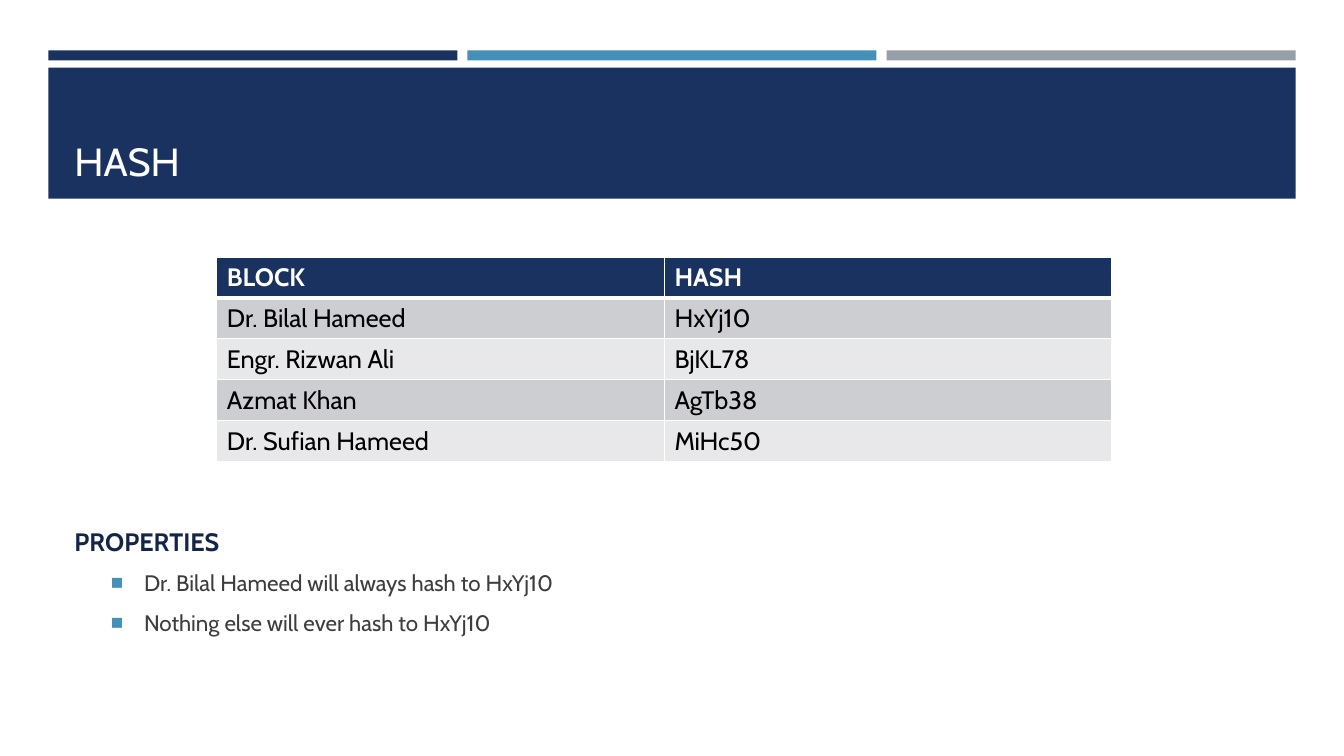
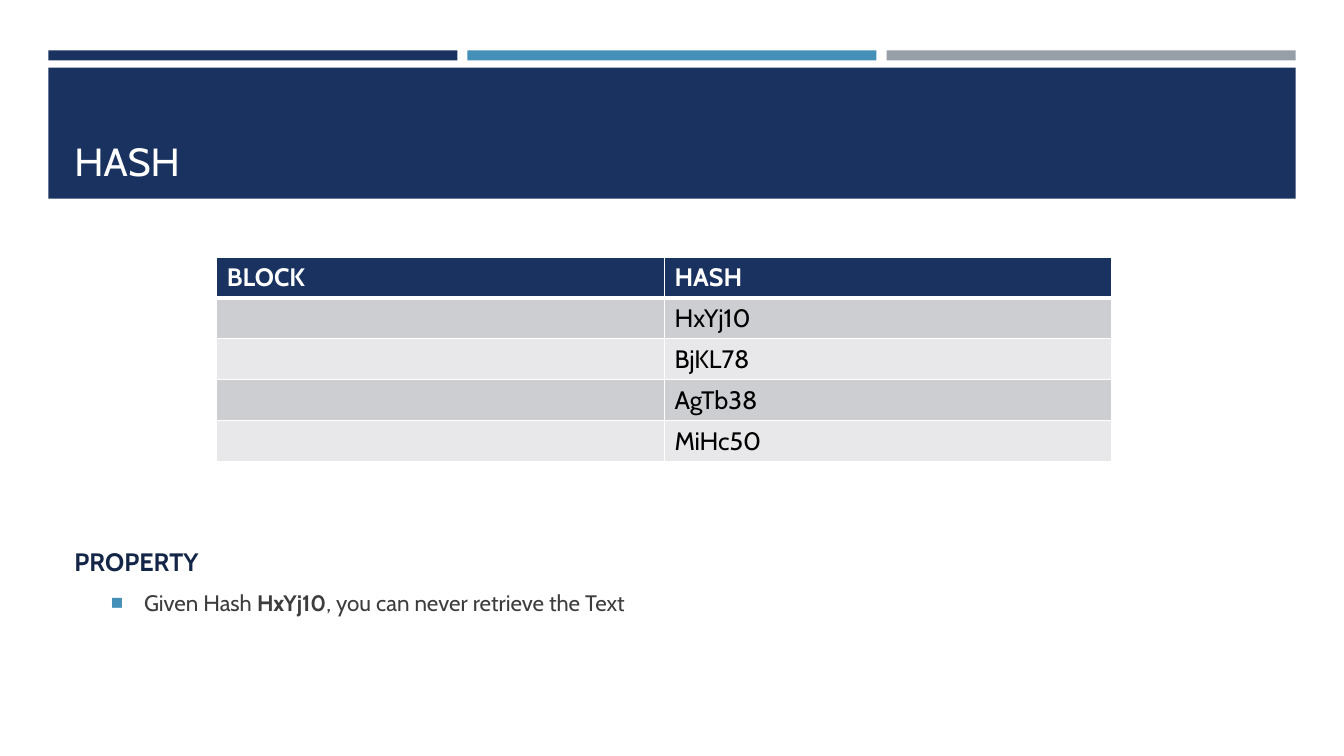
from dataclasses import dataclass

from lxml.etree import SubElement
from pptx import Presentation
from pptx.dml.color import RGBColor as Rgb
from pptx.enum.shapes import MSO_SHAPE as Shape
from pptx.enum.text import MSO_ANCHOR as Anchor
from pptx.oxml.ns import qn
from pptx.util import Inches, Pt


@dataclass(frozen=True)
class Theme:
    font: str = "Cabin"
    bullet_font: str = "Arial"
    navy: str = "1A3260"
    blue: str = "4590B8"
    gray: str = "969FA7"
    white: str = "FFFFFF"
    black: str = "000000"
    heading: str = "142648"
    body: str = "3D3D3D"
    row_dark: str = "CDCED2"
    row_light: str = "E8E8EA"
    title_size: int = 28
    heading_size: int = 18
    body_size: int = 16


THEME = Theme()
TITLE = {"size": Pt(THEME.title_size), "color": THEME.white}
HEADING = {"size": Pt(THEME.heading_size), "color": THEME.heading, "bold": True}
BODY = {"size": Pt(THEME.body_size), "color": THEME.body, "bold": False}
BODY_BOLD = BODY | {"bold": True}
HEADER_CELL = {"size": Pt(THEME.heading_size), "color": THEME.white, "bold": True}
BODY_CELL = HEADER_CELL | {"color": THEME.black, "bold": False}

HEADER_BOX = (0.48, 0.5, 12.37, 1.47)
TABLE_BOX = (2.15, 2.55, 8.88, 2.03)
NOTES_BOX = (0.64, 4.92, 12.31, 1.69)

NAMES = ["Dr. Bilal Hameed", "Engr. Rizwan Ali", "Azmat Khan", "Dr. Sufian Hameed"]
HASHES = ["HxYj10", "BjKL78", "AgTb38", "MiHc50"]


def add_span(para, text, style):
    span = para.add_run()
    span.text = text
    span.font.name = THEME.font
    for key, value in style.items():
        if key == "color":
            span.font.color.rgb = Rgb.from_string(value)
        else:
            setattr(span.font, key, value)


def add_bar(page, box, color):
    bar = page.shapes.add_shape(Shape.RECTANGLE, *map(Inches, box))
    bar.shadow.inherit = False
    bar.fill.solid()
    bar.fill.fore_color.rgb = Rgb.from_string(color)
    bar.line.fill.background()


def add_text_frame(page, box, anchor):
    frame = page.shapes.add_textbox(*map(Inches, box)).text_frame
    frame.word_wrap = True
    frame.vertical_anchor = anchor
    return frame


def add_header(page, box, title):
    left, top, width, height = box
    gap, strip_height, band_offset = 0.1, 0.1, 0.17
    strip_width = (width - 2 * gap) / 3
    for index, color in enumerate((THEME.navy, THEME.blue, THEME.gray)):
        strip_left = left + index * (strip_width + gap)
        add_bar(page, (strip_left, top, strip_width, strip_height), color)
    add_bar(page, (left, top + band_offset, width, height - band_offset), THEME.navy)
    title_box = (left + 0.16, top + 0.27, width - 0.31, 1.11)
    frame = add_text_frame(page, title_box, Anchor.BOTTOM)
    add_span(frame.paragraphs[0], title, TITLE)


def set_borders(cell, widths):
    properties = cell._tc.get_or_add_tcPr()
    for side, points in widths.items():
        line = SubElement(properties, qn(f"a:ln{side}"), w=str(Pt(points)))
        fill = SubElement(line, qn("a:solidFill"))
        SubElement(fill, qn("a:srgbClr"), val=THEME.white)


def add_hash_table(page, box, names):
    rows = [("BLOCK", "HASH"), *zip(names, HASHES)]
    table = page.shapes.add_table(len(rows), 2, *map(Inches, box)).table
    table.horz_banding = False
    for row_index, row in enumerate(rows):
        banding = THEME.row_dark if row_index % 2 else THEME.row_light
        color = banding if row_index else THEME.navy
        style = BODY_CELL if row_index else HEADER_CELL
        widths = {"L": 1, "R": 1, "T": 3 if row_index == 1 else 1, "B": 1 if row_index else 3}
        for column_index, text in enumerate(row):
            cell = table.cell(row_index, column_index)
            set_borders(cell, widths)
            cell.fill.solid()
            cell.fill.fore_color.rgb = Rgb.from_string(color)
            if text:
                add_span(cell.text_frame.paragraphs[0], text, style)


def add_bullet(para):
    properties = para._p.get_or_add_pPr()
    for key, value in {"marL": Inches(0.69), "indent": Inches(-0.33), "lvl": 1}.items():
        properties.set(key, str(value))
    color = SubElement(properties, qn("a:buClr"))
    SubElement(color, qn("a:srgbClr"), val=THEME.blue)
    SubElement(properties, qn("a:buSzPct"), val="92000")
    SubElement(properties, qn("a:buFont"), typeface=THEME.bullet_font)
    SubElement(properties, qn("a:buChar"), char="■")


def add_properties(page, box, heading, items):
    frame = add_text_frame(page, box, Anchor.MIDDLE)
    para = frame.paragraphs[0]
    para.space_after = Pt(6)
    add_span(para, heading, HEADING)
    for spans in items:
        para = frame.add_paragraph()
        add_bullet(para)
        para.space_before = Pt(3.2)
        para.space_after = Pt(6)
        for text, style in spans:
            add_span(para, text, style)


def add_hash_slide(deck, names, heading, items):
    page = deck.slides.add_slide(deck.slide_layouts[6])
    add_header(page, HEADER_BOX, "HASH")
    add_hash_table(page, TABLE_BOX, names)
    add_properties(page, NOTES_BOX, heading, items)


def main():
    deck = Presentation()
    deck.slide_width, deck.slide_height = Inches(13.33), Inches(7.5)
    add_hash_slide(deck, NAMES, "PROPERTIES", [
        [("Dr. Bilal Hameed will always hash to HxYj10", BODY)],
        [("Nothing else will ever hash to HxYj10", BODY)],
    ])
    add_hash_slide(deck, [""] * len(HASHES), "PROPERTY", [
        [("Given Hash ", BODY), ("HxYj10", BODY_BOLD),
         (", you can never retrieve the Text", BODY)],
    ])
    deck.save("out.pptx")


if __name__ == "__main__":
    main()
